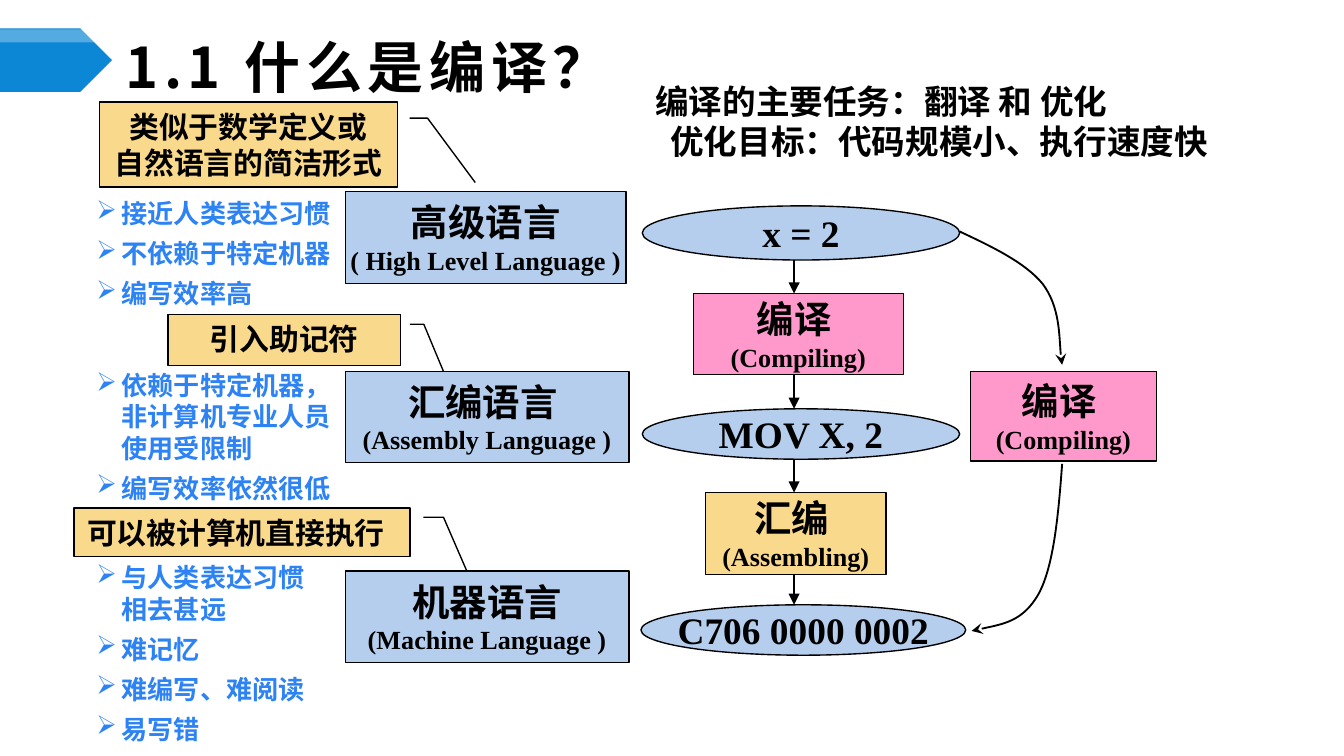
from collections import namedtuple
from dataclasses import dataclass
from itertools import pairwise

from lxml.etree import SubElement
from pptx import Presentation
from pptx.dml.color import RGBColor
from pptx.enum.shapes import MSO_CONNECTOR, MSO_SHAPE
from pptx.enum.text import MSO_ANCHOR, MSO_AUTO_SIZE, PP_ALIGN
from pptx.oxml.ns import qn
from pptx.util import Pt


@dataclass(frozen=True)
class Theme:
    ink: str = "000000"
    accent: str = "0B87D6"
    white: str = "FFFFFF"
    bullet: str = "2D83F4"
    level: str = "B5CEED"
    note: str = "F9D98C"
    compiler: str = "FF99CC"
    sans: str = "Noto Sans CJK SC"
    serif: str = "Times New Roman"
    title_size: int = 30
    term_size: int = 20
    task_size: int = 18
    note_size: int = 16
    detail_size: int = 14
    leading: float = 1.2
    outline: float = 0.75
    arrow: float = 1


THEME = Theme()
Box = namedtuple("Box", "left top width height")
Level = namedtuple("Level", "box note note_lines callout_adj points bullets term term_lines")
Stage = namedtuple("Stage", "box color lines")


def within(region, part):
    return Box(region.left + part.left, region.top + part.top, part.width, part.height)


def in_points(box):
    return [Pt(length) for length in box]


def add_line(frame, index, text, size, font, color=THEME.ink, align=PP_ALIGN.LEFT):
    paragraph = frame.paragraphs[0] if index == 0 else frame.add_paragraph()
    paragraph.alignment = align
    paragraph.line_spacing = Pt(size * THEME.leading)
    run = paragraph.add_run()
    run.text = text
    run.font.size, run.font.bold, run.font.name = Pt(size), True, font
    run.font.color.rgb = RGBColor.from_string(color)
    SubElement(run.font._element, qn("a:ea")).set("typeface", THEME.sans)
    return paragraph


def indent(paragraph, margin, hanging=0):
    properties = paragraph._p.get_or_add_pPr()
    properties.set("marL", str(Pt(margin)))
    properties.set("indent", str(-Pt(hanging)))
    return properties


def add_filled(slide, kind, box, color, outlined=True):
    shape = slide.shapes.add_shape(kind, *in_points(box))
    shape.shadow.inherit = False
    shape.fill.solid()
    shape.fill.fore_color.rgb = RGBColor.from_string(color)
    if outlined:
        shape.line.color.rgb = RGBColor.from_string(THEME.ink)
        shape.line.width = Pt(THEME.outline)
    else:
        shape.line.fill.background()
    return shape


def add_term(slide, kind, box, color, lines):
    """Draw a node with a large first line and a smaller gloss below it."""
    node = add_filled(slide, kind, box, color)
    frame = node.text_frame
    frame.word_wrap = False
    frame.vertical_anchor = MSO_ANCHOR.MIDDLE
    for index, text in enumerate(lines):
        size = THEME.detail_size if index else THEME.term_size
        add_line(frame, index, text, size, THEME.serif, align=PP_ALIGN.CENTER)


def add_text_area(slide, box):
    frame = slide.shapes.add_textbox(*in_points(box)).text_frame
    frame.word_wrap = True
    return frame


def finish_arrow(arrow, head):
    arrow.line.color.rgb = RGBColor.from_string(THEME.ink)
    arrow.line.width = Pt(THEME.arrow)
    properties = arrow._element.spPr
    SubElement(properties.find(qn("a:ln")), qn("a:tailEnd")).set("type", head)
    if properties.find(qn("a:effectLst")) is None:
        SubElement(properties, qn("a:effectLst"))


def add_curve(slide, region, points):
    """Draw a chain of cubic curves: a start, then three points a curve."""
    start, *rest = [(Pt(region.left + x), Pt(region.top + y)) for x, y in points]
    builder = slide.shapes.build_freeform(*start)
    builder.add_line_segments(rest, close=False)
    curve = builder.convert_to_shape()
    outline = next(curve._element.iter(qn("a:path")))
    segments = outline.findall(qn("a:lnTo"))
    for first in range(0, len(segments), 3):
        cubic = SubElement(outline, qn("a:cubicBezTo"))
        for segment in segments[first:first + 3]:
            cubic.append(segment[0])
            outline.remove(segment)
    curve.fill.background()
    curve.shadow.inherit = False
    finish_arrow(curve, "stealth")


def add_header(slide, region):
    add_filled(slide, MSO_SHAPE.PENTAGON, within(region, Box(0, 0, 60, 34)), THEME.accent, False)
    gloss = add_filled(slide, MSO_SHAPE.PENTAGON, within(region, Box(0, 0.5, 60, 7)), THEME.white, False)
    tint = next(gloss._element.spPr.iter(qn("a:srgbClr")))
    SubElement(tint, qn("a:alpha")).set("val", "30000")

    title = slide.shapes.title
    title.left, title.top, title.width, title.height = in_points(within(region, Box(60, 6, 624, 28)))
    frame = title.text_frame
    frame.auto_size = MSO_AUTO_SIZE.NONE
    frame.vertical_anchor = MSO_ANCHOR.MIDDLE
    heading = add_line(frame, 0, "1.1 什么是编译？", THEME.title_size, THEME.sans)
    heading.runs[0].font._element.set("spc", "300")


def add_task(slide, region):
    frame = add_text_area(slide, region)
    add_line(frame, 0, "编译的主要任务：翻译 和 优化", THEME.task_size, THEME.sans)
    goal = add_line(frame, 1, "优化目标：代码规模小、执行速度快", THEME.task_size, THEME.sans)
    indent(goal, 8)


def add_level(slide, region, level):
    note = add_filled(slide, MSO_SHAPE.LINE_CALLOUT_2, within(region, level.note), THEME.note)
    for index, value in enumerate((0.19, 1.04, 0.19, 1.1) + level.callout_adj):
        note.adjustments[index] = value
    note.text_frame.vertical_anchor = MSO_ANCHOR.TOP
    for index, text in enumerate(level.note_lines):
        add_line(note.text_frame, index, text, THEME.note_size, THEME.sans,
                 align=PP_ALIGN.LEFT if level.note.left == 0 else PP_ALIGN.CENTER)

    frame = add_text_area(slide, within(region, level.points))
    for index, text in enumerate(level.bullets):
        point = add_line(frame, index, text, THEME.detail_size, THEME.sans, THEME.bullet)
        if index:
            point.space_before = Pt(4.6)
        SubElement(indent(point, 13.5, 13.5), qn("a:buChar")).set("char", "➢")

    add_term(slide, MSO_SHAPE.RECTANGLE, within(region, level.term), THEME.level, level.term_lines)


def add_pipeline(slide, region, stages):
    """Stack the stages and join each one to the next with an arrow."""
    for stage in stages:
        kind = MSO_SHAPE.OVAL if stage.color == THEME.level else MSO_SHAPE.RECTANGLE
        add_term(slide, kind, within(region, stage.box), stage.color, stage.lines)
    x = Pt(region.left + 82)
    for upper, lower in pairwise(stage.box for stage in stages):
        arrow = slide.shapes.add_connector(
            MSO_CONNECTOR.STRAIGHT, x, Pt(region.top + upper.top + upper.height),
            x, Pt(region.top + lower.top))
        finish_arrow(arrow, "triangle")


def add_direct_route(slide, region):
    add_term(slide, MSO_SHAPE.RECTANGLE, within(region, Box(6, 75, 99.5, 48)),
             THEME.compiler, ("编译 ", "(Compiling)"))
    add_curve(slide, region, [(0, 0), (17, 8), (35, 16.5), (44.5, 28),
                              (54, 40.5), (53.5, 64), (55, 71.5)])
    add_curve(slide, region, [(55, 124.5), (53, 152), (50.5, 179), (42.5, 194),
                              (34, 209), (20, 211), (6.5, 214)])


LEVELS = (
    Level(Box(39.6, 54.7, 298, 116), Box(13.7, 0, 159.8, 45.4),
          ("类似于数学定义或", "自然语言的简洁形式"), (0.95, 1.26), Box(5, 47.5, 144.7, 68.4),
          ("接近人类表达习惯", "不依赖于特定机器", "编写效率高"),
          Box(145.4, 47.9, 150.5, 49.4), ("高级语言", "( High Level Language )")),
    Level(Box(39.6, 168.5, 298, 106), Box(50.4, 0, 124.6, 27.4),
          ("引入助记符",), (1.39, 1.21), Box(5, 25.9, 147.6, 80),
          ("依赖于特定机器，非计算机专业人员使用受限制", "编写效率依然很低"),
          Box(145.4, 30.4, 152, 49), ("汇编语言 ", "(Assembly Language )")),
    Level(Box(39.6, 272.2, 298, 132), Box(0, 0, 180, 25.9),
          ("可以被计算机直接执行",), (1.95, 1.21), Box(5, 25.2, 130.3, 107),
          ("与人类表达习惯相去甚远", "难记忆", "难编写、难阅读", "易写错"),
          Box(145.4, 33.8, 152, 49), ("机器语言", "(Machine Language )")),
)

STAGES = (
    Stage(Box(0.7, 0, 170, 29), THEME.level, ("x = 2",)),
    Stage(Box(28, 47, 112.5, 43.5), THEME.compiler, ("编译 ", "(Compiling)")),
    Stage(Box(0.7, 108.7, 170, 27), THEME.level, ("MOV X, 2",)),
    Stage(Box(34.7, 153.5, 96.5, 44), THEME.note, ("汇编 ", "(Assembling)")),
    Stage(Box(0, 213.7, 174, 27), THEME.level, ("C706 0000 0002",)),
)


def main():
    deck = Presentation()
    deck.slide_width, deck.slide_height = Pt(720), Pt(405)
    slide = deck.slides.add_slide(deck.slide_layouts[5])
    add_header(slide, Box(0, 15.2, 684, 34))
    add_task(slide, Box(344, 39.6, 340, 51))
    for level in LEVELS:
        add_level(slide, level.box, level)
    add_pipeline(slide, Box(343.4, 110.3, 174, 241), STAGES)
    add_direct_route(slide, Box(514, 124, 106, 214))
    deck.save("out.pptx")


if __name__ == "__main__":
    main()
